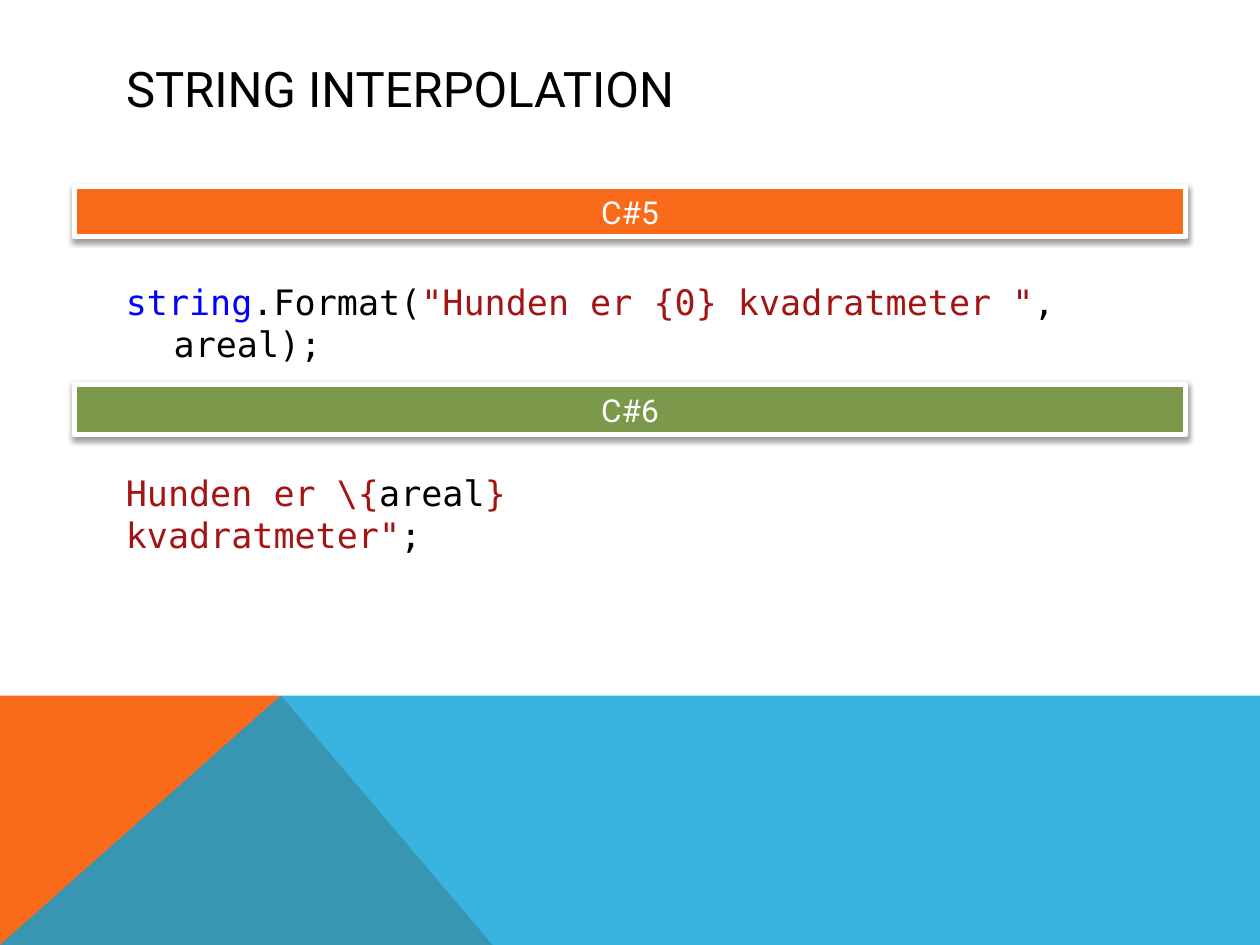
"""Build a slide comparing string formatting in C#5 and C#6."""
import dataclasses
import typing

import lxml.etree
import pptx
import pptx.dml.color
import pptx.enum.shapes
import pptx.enum.text
import pptx.oxml
import pptx.oxml.ns
import pptx.util

COLUMNS, ROWS = 100, 75


@dataclasses.dataclass(frozen=True)
class Theme:
    text: str = "000000"
    light: str = "FFFFFF"
    orange: str = "F96A1B"
    green: str = "7C984A"
    blue: str = "08A1D9"
    keyword: str = "0000FF"
    literal: str = "A31515"
    sans: str = "Roboto"
    mono: str = "DejaVu Sans Mono"
    title_size: int = 28
    code_size: int = 20
    banner_size: int = 18


THEME = Theme()


class Area(typing.NamedTuple):
    column: float
    row: float
    columns: float
    rows: float


class Span(typing.NamedTuple):
    text: str
    color: str


class Banner(typing.NamedTuple):
    label: str
    color: str
    row: float


class Code(typing.NamedTuple):
    area: Area
    spans: tuple[Span, ...]
    hanging: float


class Panel(typing.NamedTuple):
    points: tuple[tuple[float, float], ...]
    color: str
    opacity: int


HORIZON, PEAK = 55.2, 22.3
PANELS = (
    Panel(((0, ROWS), (0, HORIZON), (PEAK, HORIZON), (39.1, ROWS)), THEME.orange, 100),
    Panel(((0, ROWS), (PEAK, HORIZON), (COLUMNS, HORIZON), (COLUMNS, ROWS)), THEME.blue, 80),
)
TITLE_AREA = Area(9, 4, 82.2, 6)
BANNERS = (
    Banner("C#6", THEME.green, 30.5),
    Banner("C#5", THEME.orange, 14.8),
)
CODES = (
    Code(
        Area(9, 21.8, 82.2, 7.5),
        (
            Span("string", THEME.keyword),
            Span(".Format(", THEME.text),
            Span('"Hunden er {0} kvadratmeter "', THEME.literal),
            Span(", areal);", THEME.text),
        ),
        3.8,
    ),
    Code(
        Area(9, 36.9, 52.9, 7.5),
        (
            Span("Hunden er \\{", THEME.literal),
            Span("areal", THEME.text),
            Span('} kvadratmeter"', THEME.literal),
            Span(";", THEME.text),
        ),
        0,
    ),
)


def across(columns: float) -> int:
    return pptx.util.Inches(10 * columns / COLUMNS)


def down(rows: float) -> int:
    return pptx.util.Inches(7.5 * rows / ROWS)


def place(area: Area) -> tuple[int, int, int, int]:
    return across(area.column), down(area.row), across(area.columns), down(area.rows)


def paint(shape, color: str) -> None:
    shape.shadow.inherit = False
    shape.fill.solid()
    shape.fill.fore_color.rgb = pptx.dml.color.RGBColor.from_string(color)


def add_span(para, text: str, *, font: str, size: float, color: str) -> None:
    span = para.add_run()
    span.text = text
    span.font.name = font
    span.font.size = pptx.util.Pt(size)
    span.font.color.rgb = pptx.dml.color.RGBColor.from_string(color)


def add_panel(page, panel: Panel) -> None:
    corners = [(across(column), down(row)) for column, row in panel.points]
    builder = page.shapes.build_freeform(*corners[0])
    builder.add_line_segments(corners[1:], close=True)
    shape = builder.convert_to_shape()
    paint(shape, panel.color)
    shape.line.fill.background()
    if panel.opacity < 100:
        color = shape.fill._xPr.find(".//" + pptx.oxml.ns.qn("a:srgbClr"))
        alpha = lxml.etree.SubElement(color, pptx.oxml.ns.qn("a:alpha"))
        alpha.set("val", str(panel.opacity * 1000))


def add_shadow(shape) -> None:
    effects = shape._element.spPr.find(pptx.oxml.ns.qn("a:effectLst"))
    effects.append(pptx.oxml.parse_xml(
        f'<a:outerShdw {pptx.oxml.ns.nsdecls("a")} blurRad="{pptx.util.Pt(3.1)}" '
        f'dist="{pptx.util.Pt(1.6)}" dir="5400000" rotWithShape="0">'
        f'<a:srgbClr val="{THEME.text}"><a:alpha val="38000"/></a:srgbClr></a:outerShdw>'
    ))


def add_banner(page, banner: Banner) -> None:
    area = Area(5.9, banner.row, 88.2, 4)
    box = page.shapes.add_shape(pptx.enum.shapes.MSO_SHAPE.RECTANGLE, *place(area))
    paint(box, banner.color)
    box.line.color.rgb = pptx.dml.color.RGBColor.from_string(THEME.light)
    box.line.width = pptx.util.Pt(3)
    add_shadow(box)
    box.text_frame.vertical_anchor = pptx.enum.text.MSO_ANCHOR.MIDDLE
    para = box.text_frame.paragraphs[0]
    para.alignment = pptx.enum.text.PP_ALIGN.CENTER
    add_span(para, banner.label, font=THEME.sans, size=THEME.banner_size, color=THEME.light)


def add_code(page, code: Code) -> None:
    box = page.shapes.add_textbox(*place(code.area))
    box.text_frame.word_wrap = True
    para = box.text_frame.paragraphs[0]
    properties = para._p.get_or_add_pPr()
    properties.set("marL", str(across(code.hanging)))
    properties.set("indent", str(-across(code.hanging)))
    for text, color in code.spans:
        add_span(para, text, font=THEME.mono, size=THEME.code_size, color=color)


def set_title(page, text: str) -> None:
    title = page.shapes.title
    title.left, title.top, title.width, title.height = place(TITLE_AREA)
    title.text_frame.vertical_anchor = pptx.enum.text.MSO_ANCHOR.MIDDLE
    para = title.text_frame.paragraphs[0]
    para.alignment = pptx.enum.text.PP_ALIGN.LEFT
    add_span(para, text, font=THEME.sans, size=THEME.title_size, color=THEME.text)


def main() -> None:
    deck = pptx.Presentation()
    deck.slide_width, deck.slide_height = across(COLUMNS), down(ROWS)
    page = deck.slides.add_slide(deck.slide_layouts.get_by_name("Title Only"))
    for panel in PANELS:
        add_panel(page, panel)
    set_title(page, "STRING INTERPOLATION")
    for banner in BANNERS:
        add_banner(page, banner)
    for code in CODES:
        add_code(page, code)
    deck.save("out.pptx")


if __name__ == "__main__":
    main()
